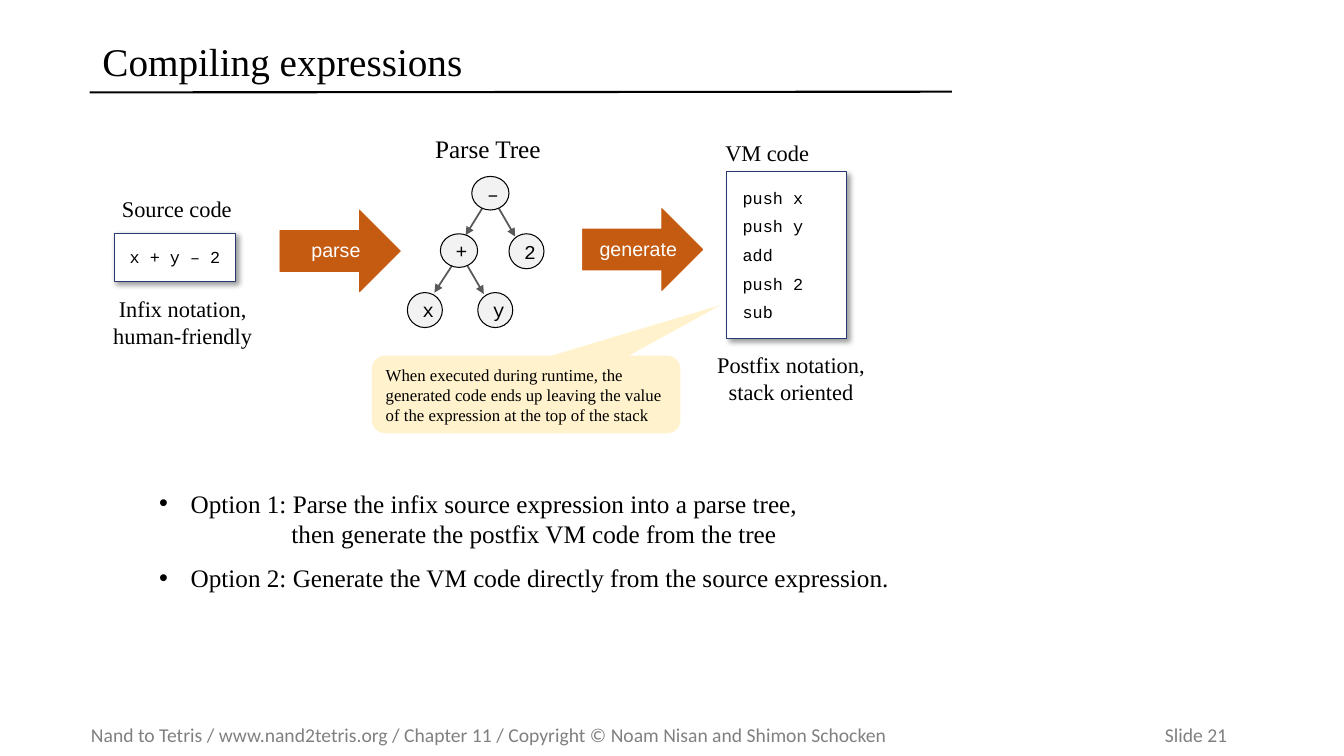
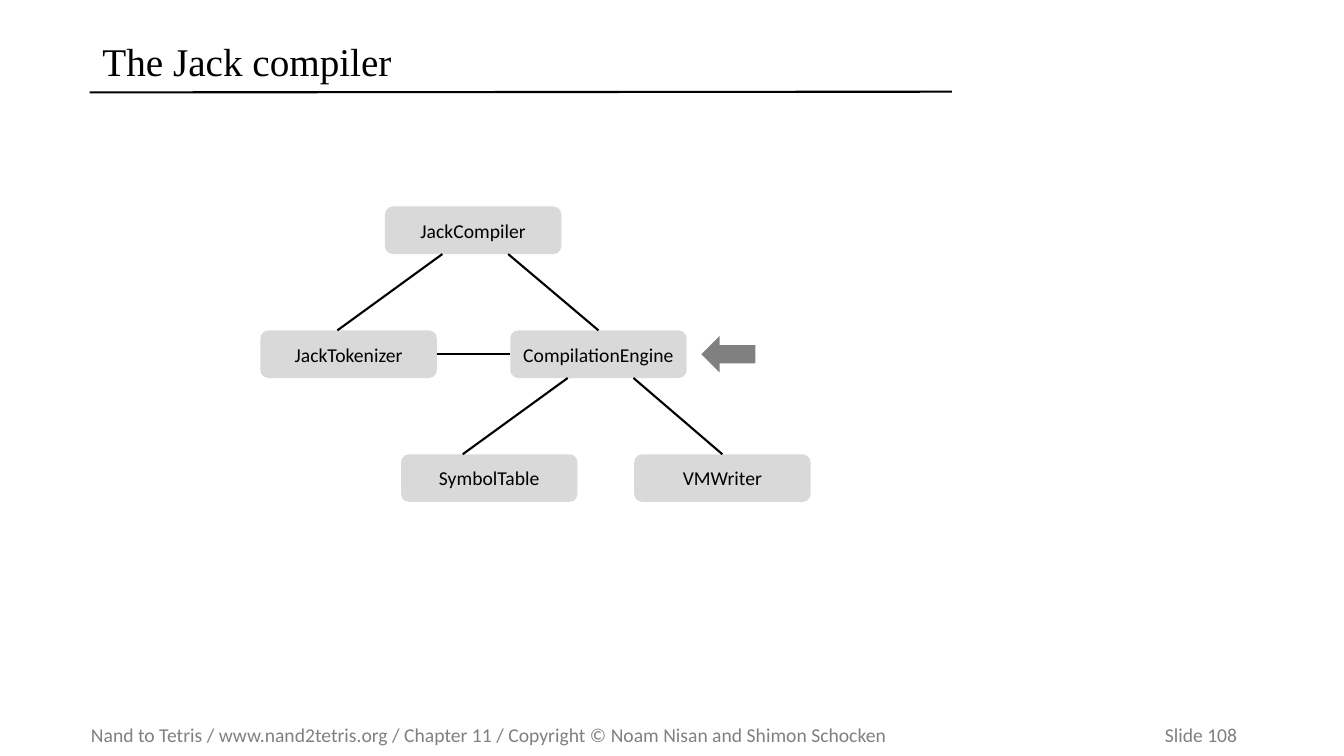
from dataclasses import dataclass
from typing import NamedTuple

from lxml import etree
from pptx import Presentation
from pptx.dml.color import RGBColor
from pptx.enum import shapes, text
from pptx.oxml import ns
from pptx.util import Pt

BLACK = RGBColor(0x00, 0x00, 0x00)
WHITE = RGBColor(0xFF, 0xFF, 0xFF)
GRAY = RGBColor(0x80, 0x80, 0x80)
NAVY = RGBColor(0x29, 0x39, 0x73)
CREAM = RGBColor(0xFF, 0xF2, 0xCC)
ORANGE = RGBColor(0xC5, 0x5A, 0x11)
NODE_FILL = RGBColor(0xF2, 0xF2, 0xF2)
EDGE_GRAY = RGBColor(0x59, 0x59, 0x59)
MODULE_FILL = RGBColor(0xD9, 0xD9, 0xD9)

SERIF, SANS, MONO, FOOTER_FONT = "Times New Roman", "Arial", "Courier New", "Calibri"
LEFT, CENTER = text.PP_ALIGN.LEFT, text.PP_ALIGN.CENTER
TOP, MIDDLE = text.MSO_ANCHOR.TOP, text.MSO_ANCHOR.MIDDLE
KIND = shapes.MSO_SHAPE

FOOTER = "Nand to Tetris / www.nand2tetris.org / Chapter 11 / Copyright © Noam Nisan and Shimon Schocken"
SLIDE_NUMBER_TAB = 767
MODULE_WIDTH, MODULE_HEIGHT = 126, 34
MODULE_TOP, MODULE_STEP = 147.5, 88.5


class Box(NamedTuple):
    left: float
    top: float
    width: float
    height: float


class Edge(NamedTuple):
    x1: float
    y1: float
    x2: float
    y2: float


@dataclass(frozen=True)
class Style:
    font: str
    size: float
    color: RGBColor = BLACK
    align: text.PP_ALIGN = LEFT
    anchor: text.MSO_ANCHOR = TOP
    space_before: float = 0
    line_spacing: float | Pt = 1.0
    insets: tuple = (7.2, 3.6, 7.2, 3.6)


@dataclass(frozen=True)
class Label:
    words: str
    box: Box
    size: float = 16
    align: text.PP_ALIGN = LEFT


@dataclass(frozen=True)
class Module:
    name: str
    left: float
    row: int

    @property
    def top(self) -> float:
        return MODULE_TOP + MODULE_STEP * self.row

    @property
    def bottom(self) -> float:
        return self.top + MODULE_HEIGHT


TITLE = Style(SERIF, 28, anchor=MIDDLE, line_spacing=0.9)
FOOTER_STYLE = Style(FOOTER_FONT, 14, GRAY, anchor=MIDDLE, insets=(0, 3.6, 0, 3.6))
OPTION = Style(SERIF, 18)
EXPRESSION = Style(MONO, 12, align=CENTER, anchor=MIDDLE)
CODE = Style(MONO, 12, anchor=MIDDLE, space_before=6, insets=(11.5, 15, 7.2, 15))
NODE = Style(MONO, 14, align=CENTER, anchor=MIDDLE)
STEP = Style(SANS, 14, WHITE, CENTER, MIDDLE, line_spacing=Pt(15.2), insets=(8.6, 3.6, 0, 3.6))
NOTE = Style(SERIF, 12)
MODULE = Style(FOOTER_FONT, 14, align=CENTER, anchor=MIDDLE)

LABELS = [
    Label("Source code", Box(80, 136, 117, 27)),
    Label("Infix notation,\nhuman-friendly", Box(43, 207, 175, 46), align=CENTER),
    Label("Parse Tree", Box(275, 92, 147, 29), 18, CENTER),
    Label("VM code", Box(511, 96, 204, 27)),
    Label("Postfix notation,\nstack oriented", Box(455, 247, 220, 46), align=CENTER),
]
TREE_NODES = [
    ("–", Box(337, 126, 26.6, 24)),
    ("+", Box(314.6, 167, 26.6, 24)),
    ("2", Box(363.6, 167, 25, 25)),
    ("x", Box(291, 209, 25, 25)),
    ("y", Box(341.3, 209, 25, 25)),
]
TREE_EDGES = [
    Edge(345.6, 147, 332.6, 168),
    Edge(356.4, 149, 368, 169),
    Edge(324, 188, 310.3, 209),
    Edge(334, 190, 345.6, 210),
]
STEPS = [("parse", Box(200, 150, 86, 58.5)), ("generate", Box(416, 149, 86, 58.5))]

COMPILER = Module("JackCompiler", 275, 0)
TOKENIZER = Module("JackTokenizer", 186, 1)
ENGINE = Module("CompilationEngine", 364.5, 1)
SYMBOL_TABLE = Module("SymbolTable", 286.5, 2)
WRITER = Module("VMWriter", 453, 2)
MODULES = [COMPILER, TOKENIZER, ENGINE, SYMBOL_TABLE, WRITER]


def add_element(parent, tag: str, **attributes: str):
    return etree.SubElement(parent, ns.qn(tag), attributes)


def place(shape, box: Box) -> None:
    shape.left, shape.top, shape.width, shape.height = map(Pt, box)


def add_run(paragraph, words: str, style: Style) -> None:
    run = paragraph.add_run()
    run.text = words
    run.font.name, run.font.size = style.font, Pt(style.size)
    run.font.color.rgb = style.color


def write(shape, words: list[str], style: Style) -> None:
    frame = shape.text_frame
    frame.word_wrap, frame.auto_size = True, text.MSO_AUTO_SIZE.NONE
    frame.vertical_anchor = style.anchor
    frame.margin_left, frame.margin_top, frame.margin_right, frame.margin_bottom = map(Pt, style.insets)
    for index, entry in enumerate(words):
        paragraph = frame.add_paragraph() if index else frame.paragraphs[0]
        paragraph.alignment, paragraph.line_spacing = style.align, style.line_spacing
        paragraph.space_before = Pt(style.space_before if index else 0)
        for number, line in enumerate(entry.split("\n")):
            if number:
                paragraph.add_line_break()
            add_run(paragraph, line, style)


def add_text(slide, words: str, box: Box, style: Style):
    shape = slide.shapes.add_textbox(*map(Pt, box))
    write(shape, [words], style)
    return shape


def add_figure(slide, kind, box: Box, fill: RGBColor, line: RGBColor | None = None, width: float = 0.75):
    shape = slide.shapes.add_shape(kind, *map(Pt, box))
    shape.shadow.inherit = False
    shape.fill.solid()
    shape.fill.fore_color.rgb = fill
    if line is None:
        shape.line.fill.background()
    else:
        shape.line.color.rgb = line
        shape.line.width = Pt(width)
    return shape


def add_code_box(slide, box: Box, lines: list[str], style: Style) -> None:
    shape = add_figure(slide, KIND.RECTANGLE, box, WHITE, NAVY)
    effects = shape.element.spPr.find(ns.qn("a:effectLst"))
    shadow = add_element(effects, "a:outerShdw", blurRad=str(Pt(4)), dist=str(Pt(3)),
                         dir="2700000", algn="tl", rotWithShape="0")
    color = add_element(shadow, "a:srgbClr", val=str(BLACK))
    add_element(color, "a:alpha", val="40000")
    write(shape, lines, style)


def add_line(slide, edge: Edge, color: RGBColor = BLACK, width: float = 1.5, arrow: bool = False):
    connector = slide.shapes.add_connector(shapes.MSO_CONNECTOR.STRAIGHT, *map(Pt, edge))
    connector.line.color.rgb, connector.line.width = color, Pt(width)
    if arrow:
        add_element(connector.line._get_or_add_ln(), "a:tailEnd", type="triangle")
    add_element(connector.element.spPr, "a:effectLst")
    return connector


def add_slide(presentation, layout: int, title: str, number: int):
    slide = presentation.slides.add_slide(presentation.slide_layouts[layout])
    place(slide.shapes.title, Box(66, 23, 614, 45))
    write(slide.shapes.title, [title], TITLE)
    add_line(slide, Edge(64, 66, 680, 65.5))
    footer = add_text(slide, f"{FOOTER}\tSlide {number}", Box(65, 512.5, 882, 24.5), FOOTER_STYLE)
    properties = footer.text_frame.paragraphs[0]._p.get_or_add_pPr()
    tabs = add_element(properties, "a:tabLst")
    add_element(tabs, "a:tab", pos=str(Pt(SLIDE_NUMBER_TAB)), algn="l")
    return slide


def add_options(slide) -> None:
    body = slide.placeholders[1]
    place(body, Box(106.5, 345, 558, 83))
    write(body, [
        "Option 1: Parse the infix source expression into a parse tree,",
        "then generate the postfix VM code from the tree",
        "Option 2: Generate the VM code directly from the source expression.",
    ], OPTION)
    for index, paragraph in enumerate(body.text_frame.paragraphs):
        continued = index == 1
        properties = paragraph._p.get_or_add_pPr()
        properties.set("marL", str(Pt(94.5 if continued else 22.5)))
        properties.set("indent", str(Pt(0 if continued else -22.5)))
        if continued:
            add_element(properties, "a:buNone")
        else:
            add_element(properties, "a:buFont", typeface=SANS)
            add_element(properties, "a:buChar", char="•")
    body.text_frame.paragraphs[2].space_before = Pt(10)


def build_expressions(presentation) -> None:
    slide = add_slide(presentation, 1, "Compiling expressions", 21)
    add_options(slide)
    for label in LABELS:
        add_text(slide, label.words, label.box, Style(SERIF, label.size, align=label.align))
    add_code_box(slide, Box(81.5, 166.5, 87, 34.5), ["x + y – 2"], EXPRESSION)
    add_code_box(slide, Box(519, 122.5, 86, 119), ["push x", "push y", "add", "push 2", "sub"], CODE)
    note = add_figure(slide, KIND.ROUNDED_RECTANGULAR_CALLOUT, Box(265.7, 254, 220.3, 55.5), CREAM)
    note.adjustments[0], note.adjustments[1], note.adjustments[2] = 0.63, -1.15, 0.17
    write(note, ["When executed during runtime, the generated code ends up leaving "
                 "the value of the expression at the top of the stack"], NOTE)
    for words, box in STEPS:
        write(add_figure(slide, KIND.RIGHT_ARROW, box, ORANGE, ORANGE, 0.5), [words], STEP)
    for edge in TREE_EDGES:
        add_line(slide, edge, EDGE_GRAY, 1.25, arrow=True)
    for symbol, box in TREE_NODES:
        write(add_figure(slide, KIND.OVAL, box, NODE_FILL, BLACK), [symbol], NODE)


def build_compiler(presentation) -> None:
    slide = add_slide(presentation, 5, "The Jack compiler", 108)
    figures = {}
    for module in MODULES:
        box = Box(module.left, module.top, MODULE_WIDTH, MODULE_HEIGHT)
        figures[module] = add_figure(slide, KIND.ROUNDED_RECTANGLE, box, MODULE_FILL)
        write(figures[module], [module.name], MODULE)
    for parent, right_child in ((COMPILER, ENGINE), (ENGINE, WRITER)):
        start = parent.left + 41
        add_line(slide, Edge(start, parent.bottom, start - 75, right_child.top))
        start = parent.left + 88
        middle = right_child.left + MODULE_WIDTH / 2
        link = add_line(slide, Edge(start, parent.bottom, middle, right_child.top))
        link.end_connect(figures[right_child], 0)
    middle = ENGINE.top + MODULE_HEIGHT / 2
    link = add_line(slide, Edge(ENGINE.left, middle, TOKENIZER.left + MODULE_WIDTH, middle))
    link.begin_connect(figures[ENGINE], 1)
    link.end_connect(figures[TOKENIZER], 3)
    pointer = add_figure(slide, KIND.RIGHT_ARROW, Box(501, 240, 38.5, 26), GRAY)
    pointer.rotation = 180


def main() -> None:
    presentation = Presentation()
    presentation.slide_width, presentation.slide_height = Pt(960), Pt(540)
    build_expressions(presentation)
    build_compiler(presentation)
    presentation.save("out.pptx")


if __name__ == "__main__":
    main()
